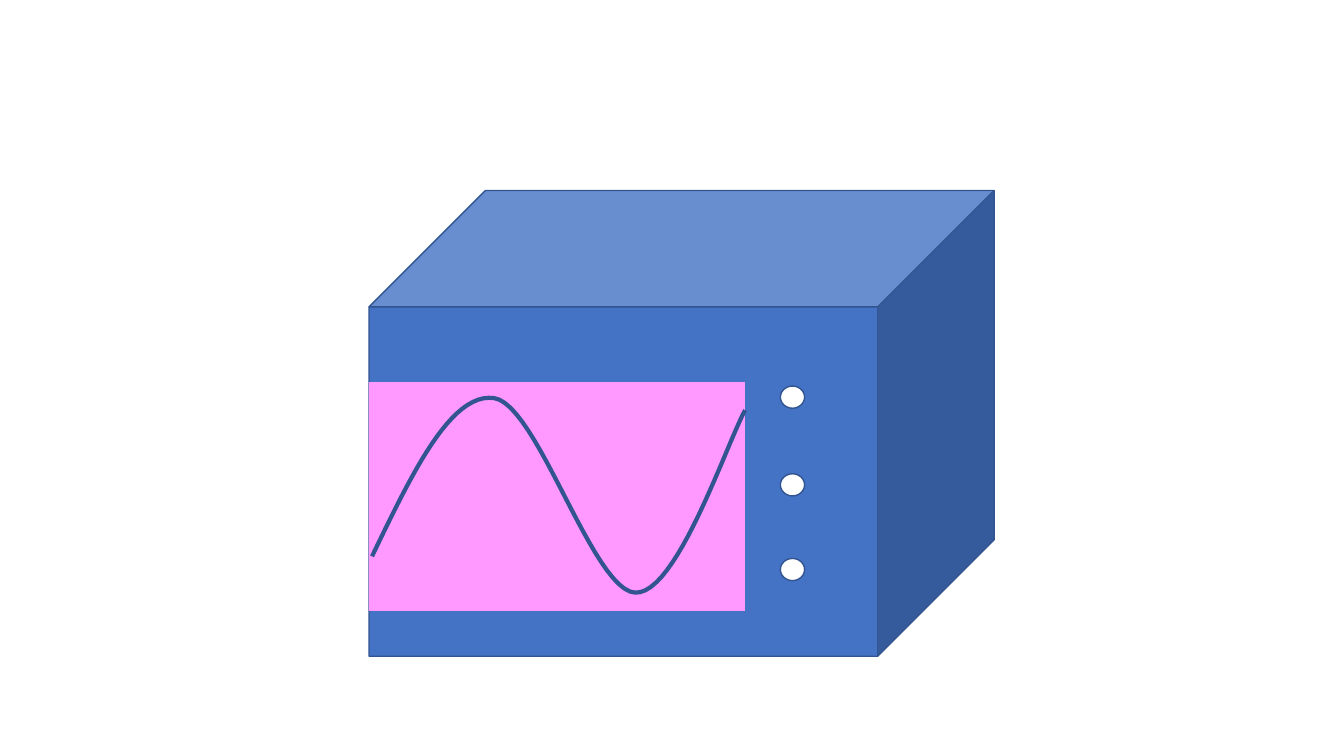
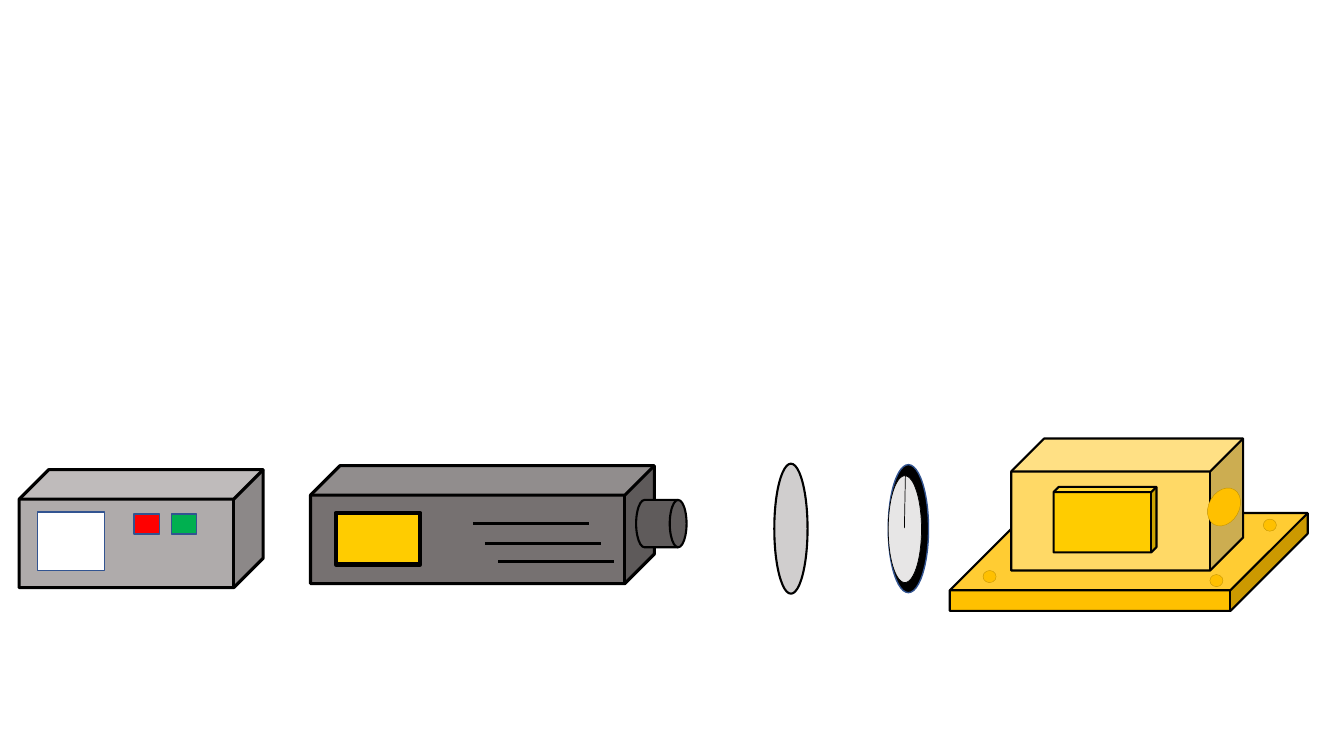
"""Draw an oscilloscope and an optical bench as two slides of editable shapes."""
from dataclasses import dataclass

from lxml.etree import SubElement
from pptx import Presentation
from pptx.dml.color import RGBColor
from pptx.enum.shapes import MSO_CONNECTOR, MSO_SHAPE
from pptx.oxml.ns import qn
from pptx.util import Pt

PX = 9144
WIDE, HIGH = 1333, 750


@dataclass(frozen=True)
class Theme:
    blue: str = "4472C4"
    pink: str = "FF99FF"
    white: str = "FFFFFF"
    black: str = "000000"
    red: str = "FF0000"
    green: str = "00B050"
    silver: str = "AFABAB"
    slate: str = "767171"
    drum: str = "5F5B5B"
    glass: str = "D0CECE"
    pale: str = "E7E6E6"
    gold: str = "FFC000"
    amber: str = "FFCC00"
    sand: str = "FFD966"
    trim: tuple = ("325491", 1)
    trace: tuple = ("325491", 3)
    hair: tuple = ("000000", 0.5)
    rim: tuple = ("BF9000", 0.25)
    thin: tuple = ("000000", 1.5)
    bold: tuple = ("000000", 2.25)
    heavy: tuple = ("000000", 3)


T = Theme()
CUBE, RECT, OVAL = MSO_SHAPE.CUBE, MSO_SHAPE.RECTANGLE, MSO_SHAPE.OVAL
DRUM = MSO_SHAPE.FLOWCHART_DIRECT_ACCESS_STORAGE
LINE, WAVE = "line", "wave"

SCOPE = [
    (CUBE, (366, 189, 620, 462), T.blue, T.trim),
    (RECT, (366, 379, 373, 227), T.pink, None),
    *[(OVAL, (774, y, 24, 22), T.white, T.trim) for y in (383, 470, 554)],
    (WAVE, [(369, 552), (408, 471), (447, 389), (490, 395), (533, 401),
            (588, 586), (630, 588), (671, 590), (720, 442), (739, 407)],
     None, T.trace),
]
POWER = [
    (CUBE, (19, 466, 242, 117), T.silver, T.bold),
    (RECT, (37, 508, 67, 58), T.white, T.trim),
    *[(RECT, (x, 510, 25, 20), fill, T.trim)
      for x, fill in ((133, T.red), (170, T.green))],
]
LASER = [
    (CUBE, (308, 462, 341, 117), T.slate, T.bold),
    (DRUM, (631, 496, 50, 47), T.drum, T.thin),
    (RECT, (333, 509, 84, 51), T.amber, T.heavy),
    *[(LINE, (x, y, x + 115, y), None, T.bold)
      for x, y in ((469, 519), (481, 539), (494, 557))],
]
LENS = [(OVAL, (768, 460, 33, 129), T.glass, T.thin)]
DIAL = [
    (OVAL, (881, 461, 40, 127), T.black, T.trim),
    (OVAL, (881, 472, 33, 106), T.pale, T.hair),
    (LINE, (898, 472, 897, 524), None, T.hair),
]
MOUNT = [
    (CUBE, (942, 509, 355, 97), T.gold, T.thin, {"adj": 0.79}),
    (CUBE, (1003, 435, 230, 131), T.sand, T.thin),
    (CUBE, (1045, 483, 102, 65), T.amber, T.thin, {"adj": 0.08}),
    *[(OVAL, (x, y, 13, 12), T.gold, T.rim)
      for x, y in ((1253, 515), (1200, 570), (975, 566))],
    (OVAL, (1199, 483, 30, 40), T.gold, T.rim, {"turn": 30.2}),
]
SLIDES = [[SCOPE], [POWER, LASER, LENS, DIAL, MOUNT]]


def curve(points, steps=24):
    """Yield points along joined cubic segments."""
    yield points[0]
    for i in range(0, len(points) - 1, 3):
        a, b, c, d = points[i:i + 4]
        for n in range(1, steps + 1):
            t = n / steps
            u = 1 - t
            yield tuple(u**3 * p + 3 * u * u * t * q + 3 * u * t * t * r + t**3 * s
                        for p, q, r, s in zip(a, b, c, d))


def stroke(shape, pen):
    """Apply a (colour, points) pen, or no outline."""
    if pen is None:
        shape.line.fill.background()
        return
    color, width = pen
    shape.line.color.rgb = RGBColor.from_string(color)
    shape.line.width = Pt(width)


def place(shapes, kind, spot, fill, pen, more=None):
    """Add one part to a shape collection."""
    more = more or {}
    if kind == LINE:
        part = shapes.add_connector(MSO_CONNECTOR.STRAIGHT, *[v * PX for v in spot])
        SubElement(part._element.spPr, qn("a:effectLst"))
        stroke(part, pen)
        return
    if kind == WAVE:
        dots = [(round(x * PX), round(y * PX)) for x, y in curve(spot)]
        path = shapes.build_freeform(*dots[0])
        path.add_line_segments(dots[1:], close=False)
        part = path.convert_to_shape()
    else:
        part = shapes.add_shape(kind, *[v * PX for v in spot])
    part.shadow.inherit = False
    if fill:
        part.fill.solid()
        part.fill.fore_color.rgb = RGBColor.from_string(fill)
    else:
        part.fill.background()
    stroke(part, pen)
    if "adj" in more:
        part.adjustments[0] = more["adj"]
    part.rotation = more.get("turn", 0)


def main():
    """Build and save the deck."""
    deck = Presentation()
    deck.slide_width, deck.slide_height = WIDE * PX, HIGH * PX
    for units in SLIDES:
        slide = deck.slides.add_slide(deck.slide_layouts[6])
        for unit in units:
            shapes = slide.shapes
            if len(unit) > 1:
                shapes = shapes.add_group_shape().shapes
            for part in unit:
                place(shapes, *part)
    deck.save("out.pptx")


if __name__ == "__main__":
    main()
